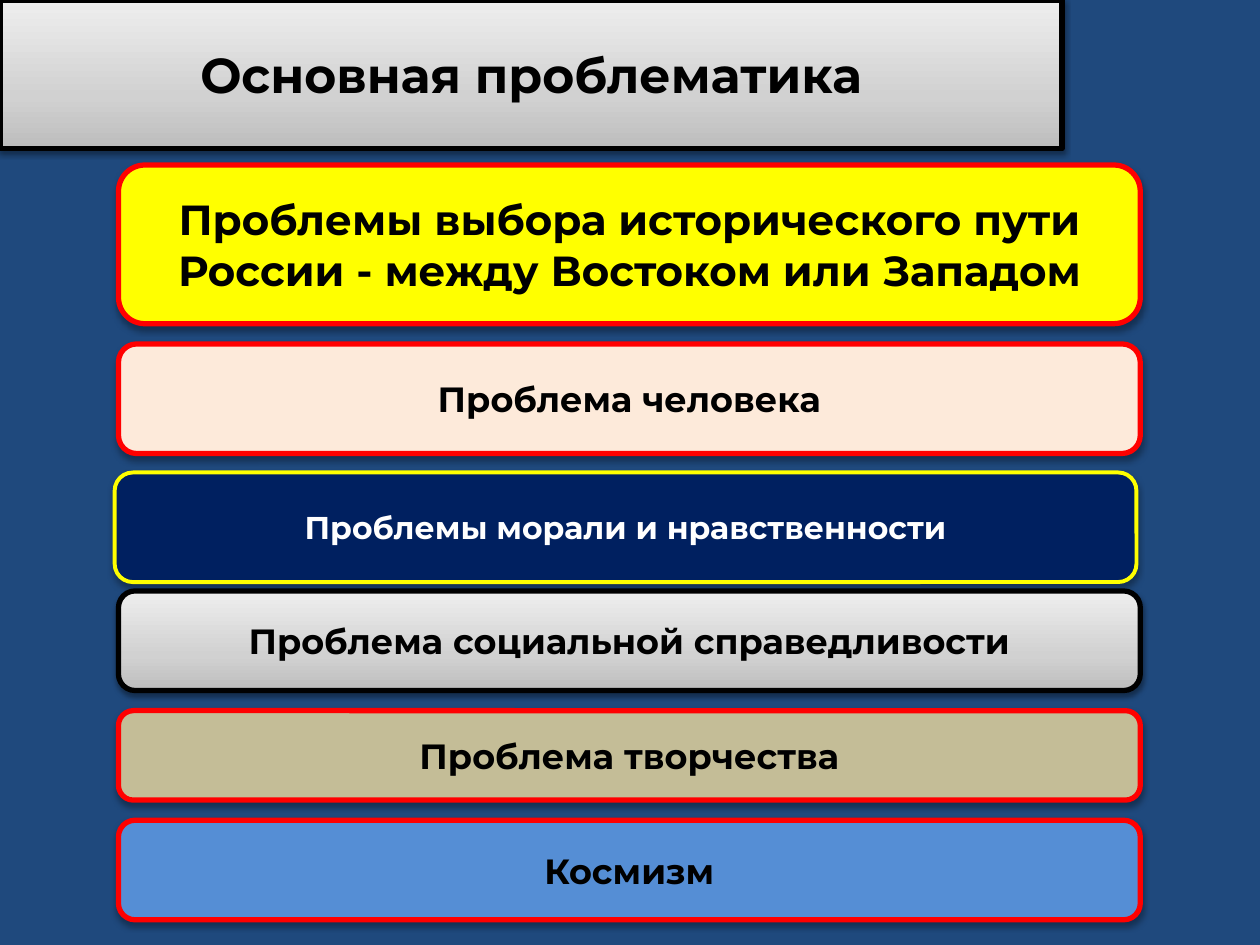
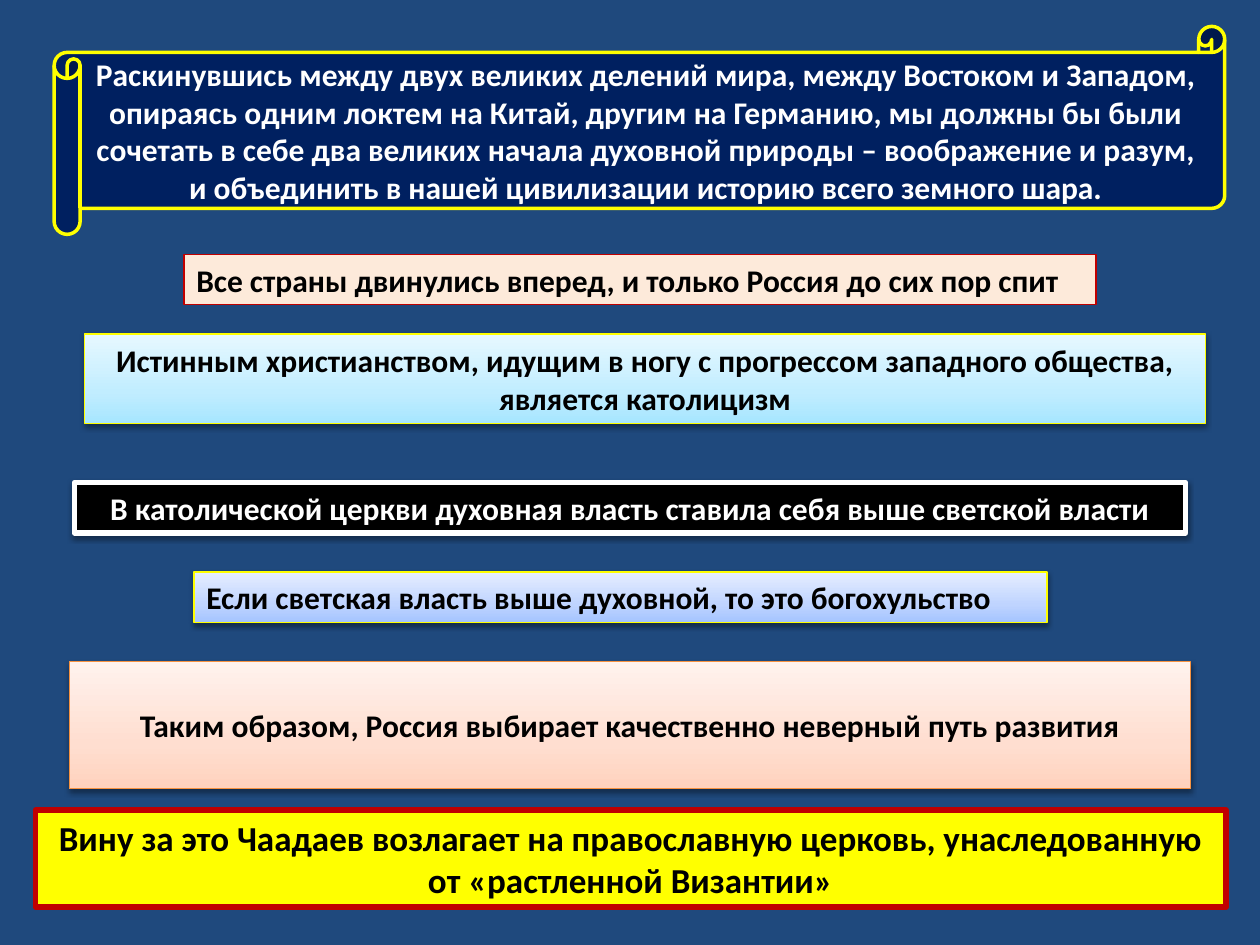
from copy import deepcopy
from dataclasses import dataclass

from lxml import etree
from pptx import Presentation
from pptx.dml.color import RGBColor
from pptx.enum import shapes, text
from pptx.oxml import ns
from pptx.util import Inches, Pt


@dataclass(frozen=True)
class Theme:
    """Colours, gradients, shadows, fonts and type sizes of the deck."""
    background: str = "1F497D"
    black: str = "000000"
    white: str = "FFFFFF"
    yellow: str = "FFFF00"
    red: str = "FF0000"
    crimson: str = "C00000"
    navy: str = "002060"
    peach: str = "FDEADA"
    khaki: str = "C4BD97"
    sky: str = "558ED5"
    orange: str = "F69240"
    silver: tuple = ("BDBDBD", "D1D1D1", "EEEEEE")
    aqua: tuple = ("A7E6FF", "C1EDFF", "E7F8FF")
    periwinkle: tuple = ("A4C4FF", "BFD4FF", "E6EEFF")
    salmon: tuple = ("FFD2BD", "FFDED0", "FFF2ED")
    stops: tuple = (0, 0.35, 1)
    soft_shadow: tuple = (38, 3.1, 1.6)
    deep_shadow: tuple = (32, 3.5, 2.2)
    display: str = "Montserrat"
    body: str = "Calibri"
    title_size: int = 28
    lead_size: int = 24
    large: int = 20
    normal: int = 18


THEME = Theme()


def fill_shape(shape, fill):
    """Fill with one colour, or with a gradient rising from the bottom edge."""
    if isinstance(fill, str):
        shape.fill.solid()
        shape.fill.fore_color.rgb = RGBColor.from_string(fill)
        return
    shape.fill.gradient()
    shape.fill.gradient_angle = 90
    stop_list = shape.element.spPr.find(f".//{ns.qn('a:gsLst')}")
    stop_list.append(deepcopy(stop_list[0]))
    for stop, position, colour in zip(shape.fill.gradient_stops, THEME.stops, fill):
        stop.position = position
        stop.color.rgb = RGBColor.from_string(colour)


def cast_shadow(shape, shadow):
    """Drop the inherited shadow and cast the given one straight down."""
    shape.shadow.inherit = False
    if not shadow:
        return
    opacity, blur, distance = shadow
    effects = shape.element.spPr.find(ns.qn("a:effectLst"))
    outer = etree.SubElement(effects, ns.qn("a:outerShdw"), blurRad=str(Pt(blur)),
                             dist=str(Pt(distance)), dir="5400000", rotWithShape="0")
    colour = etree.SubElement(outer, ns.qn("a:srgbClr"), val=THEME.black)
    etree.SubElement(colour, ns.qn("a:alpha"), val=str(opacity * 1000))


def write_text(shape, words, *, font, size, colour=THEME.black, align=text.PP_ALIGN.CENTER):
    """Write one bold paragraph, centred vertically in the shape."""
    frame = shape.text_frame
    frame.word_wrap = True
    frame.auto_size = text.MSO_AUTO_SIZE.NONE
    frame.vertical_anchor = text.MSO_ANCHOR.MIDDLE
    paragraph = frame.paragraphs[0]
    paragraph.alignment = align
    run = paragraph.add_run()
    run.text = words
    run.font.name = font
    run.font.size = Pt(size)
    run.font.bold = True
    run.font.color.rgb = RGBColor.from_string(colour)


def decorate(shape, fill, line, weight, shadow):
    """Give a panel its fill, outline and shadow."""
    fill_shape(shape, fill)
    shape.line.color.rgb = RGBColor.from_string(line)
    shape.line.width = Pt(weight)
    cast_shadow(shape, shadow)


def add_title(slide, words):
    """Turn the title placeholder into the silver band at the top left."""
    title = slide.shapes.title
    title.left, title.top, title.width, title.height = map(Inches, (0, 0, 8.43, 1.18))
    decorate(title, THEME.silver, THEME.black, 3, THEME.soft_shadow)
    write_text(title, words, font=THEME.display, size=THEME.title_size)


def add_panel(slide, words, box, fill, line, *, weight=0.75, shadow=None,
              outline=shapes.MSO_SHAPE.RECTANGLE, font=THEME.body, size=THEME.normal, **style):
    """Add a filled and outlined shape with its statement."""
    panel = slide.shapes.add_shape(outline, *map(Inches, box))
    decorate(panel, fill, line, weight, shadow)
    write_text(panel, words, font=font, size=size, **style)


def add_problem(slide, words, top, height, fill, line=THEME.red, *, left=0.94,
                weight=3, shadow=THEME.deep_shadow, size=THEME.large, **style):
    """Add one rounded bar to the column of problems."""
    add_panel(slide, words, (left, top, 8.11, height), fill, line, weight=weight,
              shadow=shadow, outline=shapes.MSO_SHAPE.ROUNDED_RECTANGLE,
              font=THEME.display, size=size, **style)


def build_problems(deck):
    """Build the slide that lists the main problems."""
    slide = deck.slides.add_slide(deck.slide_layouts[5])
    add_title(slide, "Основная проблематика")
    add_problem(slide, "Проблемы выбора исторического пути России - между Востоком или Западом",
                1.31, 1.26, THEME.yellow, size=THEME.lead_size)
    add_problem(slide, "Проблема человека", 2.73, 0.87, THEME.peach)
    add_problem(slide, "Проблемы морали и нравственности", 3.75, 0.87, THEME.navy, THEME.yellow,
                left=0.91, weight=2.25, size=THEME.normal, colour=THEME.white)
    add_problem(slide, "Проблема социальной справедливости", 4.69, 0.79, THEME.silver,
                THEME.black, shadow=THEME.soft_shadow)
    add_problem(slide, "Проблема творчества", 5.64, 0.71, THEME.khaki)
    add_problem(slide, "Космизм", 6.51, 0.79, THEME.sky)


def build_chaadaev(deck):
    """Build the slide with Chaadaev's statements."""
    slide = deck.slides.add_slide(deck.slide_layouts[6])
    soft = THEME.soft_shadow
    add_panel(slide, "Раскинувшись между двух великих делений мира, между Востоком и Западом, "
              "опираясь одним локтем на Китай, другим на Германию, мы должны бы были сочетать "
              "в себе два великих начала духовной природы – воображение и разум, и объединить "
              "в нашей цивилизации историю всего земного шара.",
              (0.43, 0.21, 9.29, 1.65), THEME.navy, THEME.yellow, weight=2,
              outline=shapes.MSO_SHAPE.HORIZONTAL_SCROLL, colour=THEME.white)
    add_panel(slide, "Все страны двинулись вперед, и только Россия до сих пор спит",
              (1.46, 2.02, 7.24, 0.4), THEME.peach, THEME.crimson, align=text.PP_ALIGN.LEFT)
    add_panel(slide, "Истинным христианством, идущим в ногу с прогрессом западного общества, "
              "является католицизм",
              (0.67, 2.65, 8.9, 0.71), THEME.aqua, THEME.yellow, shadow=soft)
    add_panel(slide, "В католической церкви духовная власть ставила себя выше светской власти",
              (0.59, 3.83, 8.82, 0.4), THEME.black, THEME.white, weight=3, shadow=soft,
              colour=THEME.white)
    add_panel(slide, "Если светская власть выше духовной, то это богохульство",
              (1.54, 4.54, 6.77, 0.4), THEME.periwinkle, THEME.yellow, shadow=soft,
              align=text.PP_ALIGN.LEFT)
    add_panel(slide, "Таким образом, Россия выбирает качественно неверный путь развития",
              (0.55, 5.25, 8.9, 1.01), THEME.salmon, THEME.orange, shadow=soft)
    add_panel(slide, "Вину за это Чаадаев возлагает на православную церковь, унаследованную "
              "от «растленной Византии»",
              (0.28, 6.43, 9.45, 0.77), THEME.yellow, THEME.crimson, weight=3, size=THEME.large)


def main():
    """Build and save the deck."""
    deck = Presentation()
    deck.slide_width, deck.slide_height = Inches(10), Inches(7.5)
    backdrop = deck.slide_master.background.fill
    backdrop.solid()
    backdrop.fore_color.rgb = RGBColor.from_string(THEME.background)
    build_problems(deck)
    build_chaadaev(deck)
    deck.save("out.pptx")


if __name__ == "__main__":
    main()
